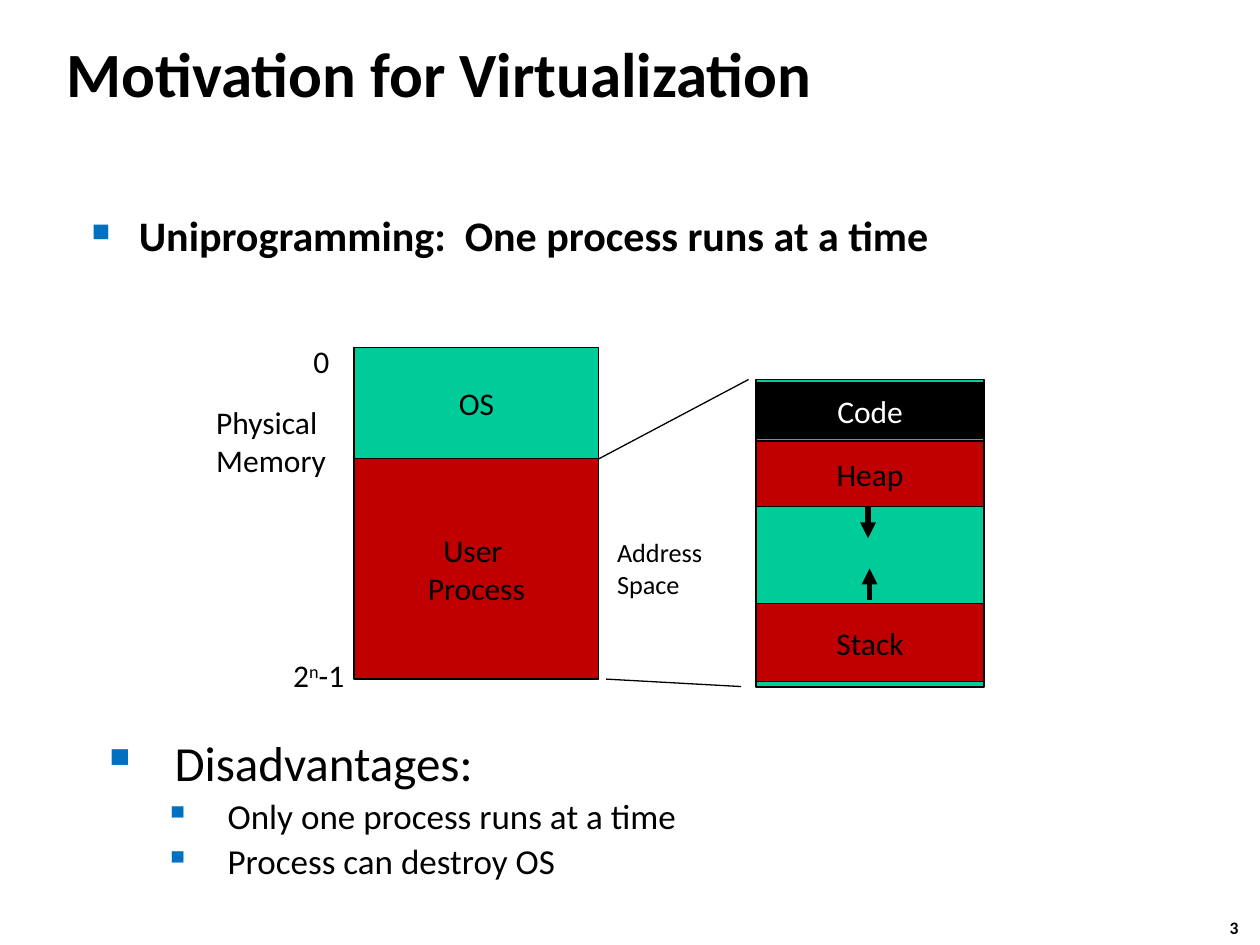
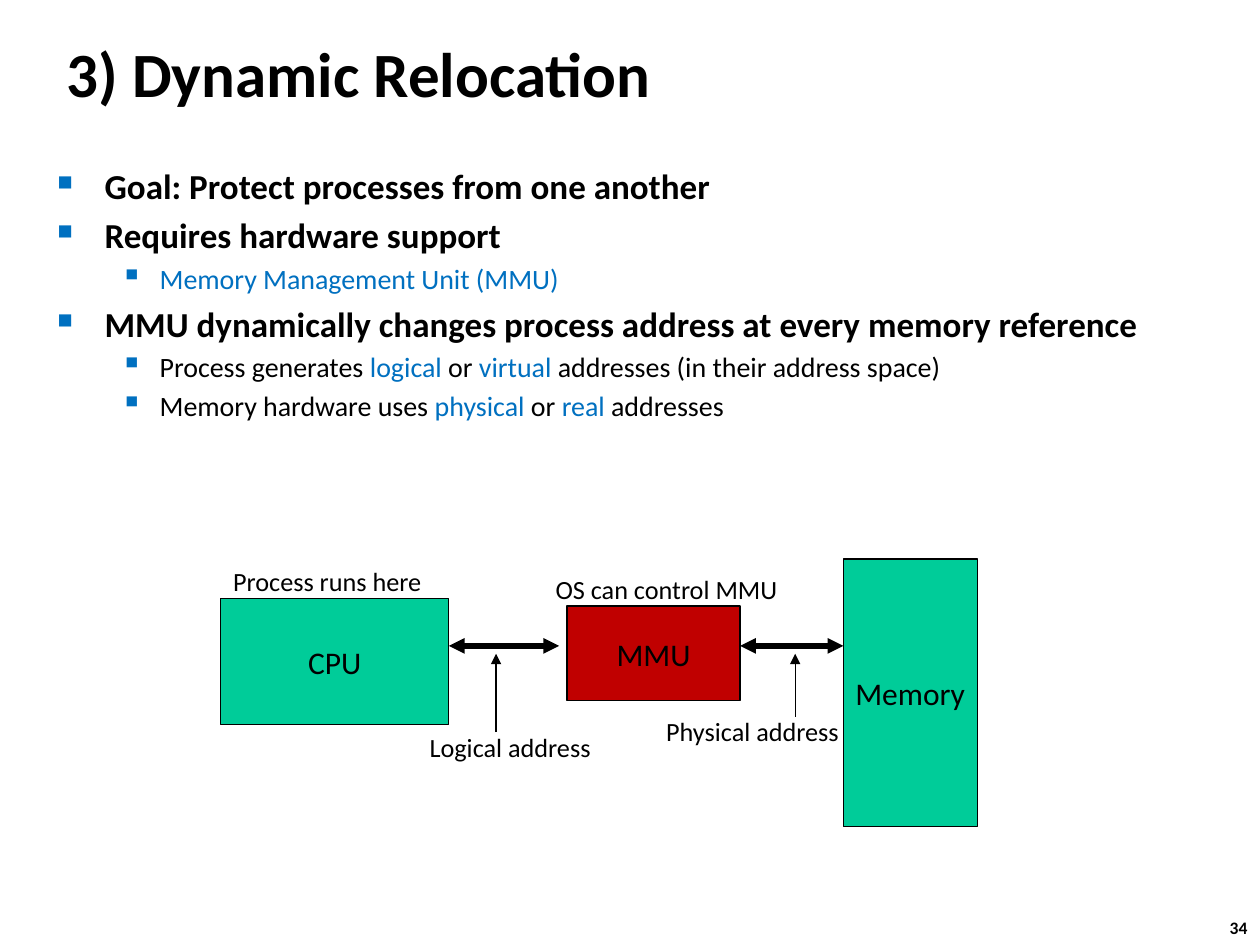
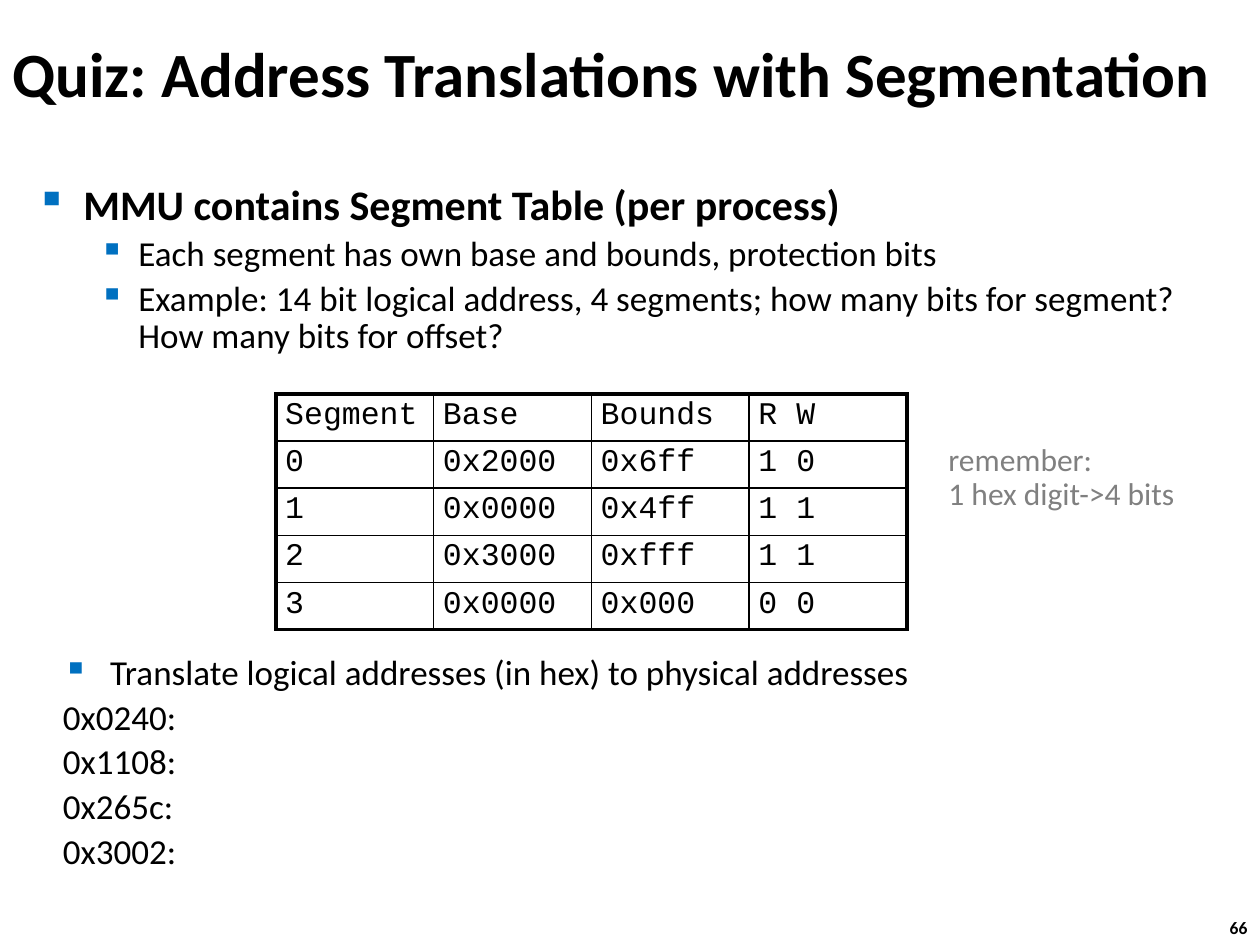
from lxml.etree import SubElement
from pptx import Presentation
from pptx.dml.color import RGBColor as RGB
from pptx.enum.shapes import MSO_CONNECTOR as CONN, MSO_SHAPE as SHAPE
from pptx.enum.text import MSO_ANCHOR as ANCHOR, PP_ALIGN as ALIGN
from pptx.oxml.ns import qn
from pptx.util import Cm, Pt

COLORS = {
    "ink": "000000",
    "paper": "FFFFFF",
    "accent": "0070C0",
    "free": "00CC99",
    "used": "C00000",
    "hint": "808080",
}
BASE = {"name": "Calibri", "size": 18, "bold": False, "color": "ink"}
ACCENT = {"color": "accent"}
SUPER = {"baseline": 30000}

TOP = {"left": 0.95, "hang": 0.95}
SUB = {"left": 2.06, "hang": 0.79, "font": {"size": 20}, "bullet": "▪"}
HEADLINE = {**TOP, "font": {"size": 24, "bold": True}, "bullet": "■", "scale": 60}
GOAL = {**HEADLINE, "font": {"size": 20, "bold": True}}
DETAIL = {**SUB, "font": {"size": 16}, "scale": 110}
SEGMENT_HEAD = {**HEADLINE, "bullet": "▪", "scale": 100}
DRAWBACK_HEAD = {"left": 1.47, "hang": 1.47, "font": {"size": 28}, "bullet": "▪"}
DRAWBACK = {**SUB, "left": 2.54, "hang": 1.27}
TASK = {**TOP, "font": {"size": 20}, "bullet": "▪"}
ADDRESS = {**TOP, "font": {"size": 20}}


def rgb(name):
    return RGB.from_string(COLORS[name])


def cms(values):
    return [Cm(v) for v in values]


def set_font(r, fmt):
    fmt = {**BASE, **fmt}
    values = {"name": fmt["name"], "size": Pt(fmt["size"]), "bold": fmt["bold"]}
    for key, value in values.items():
        setattr(r.font, key, value)
    r.font.color.rgb = rgb(fmt["color"])
    if "baseline" in fmt:
        r._r.get_or_add_rPr().set("baseline", str(fmt["baseline"]))


def write(p, text, fmt, marked=ACCENT):
    """Text between bars takes the marked format."""
    for i, part in enumerate(text.split("|")):
        for j, line in enumerate(part.split("\n")):
            if j:
                p.add_line_break()
            if line:
                r = p.add_run()
                r.text = line
                set_font(r, {**fmt, **(marked if i % 2 else {})})


def add_text(s, box, text, fmt, wrap=False, anchor=ANCHOR.TOP, spacing=None, marked=ACCENT):
    tf = s.shapes.add_textbox(*cms(box)).text_frame
    tf.word_wrap = wrap
    tf.vertical_anchor = anchor
    p = tf.paragraphs[0]
    p.line_spacing = spacing
    write(p, text, fmt, marked)


def add_bullet(pPr, char, scale):
    color = SubElement(pPr, qn("a:buClr"))
    SubElement(color, qn("a:srgbClr"), val=COLORS["accent"])
    SubElement(pPr, qn("a:buSzPct"), val=str(scale * 1000))
    SubElement(pPr, qn("a:buChar"), char=char)


def add_list(s, box, items, spacing=0.9):
    tf = s.shapes.add_textbox(*cms(box)).text_frame
    tf.word_wrap = True
    for i, (style, text) in enumerate(items):
        p = tf.add_paragraph() if i else tf.paragraphs[0]
        pPr = p._p.get_or_add_pPr()
        pPr.set("marL", str(Cm(style["left"])))
        pPr.set("indent", str(-Cm(style["hang"])))
        if "bullet" in style:
            add_bullet(pPr, style["bullet"], style.get("scale", 100))
        p.line_spacing = spacing
        if i:
            p.space_before = Pt(0.2 * style["font"]["size"])
        write(p, text, style["font"])


def add_block(s, box, fill, text="", color="ink"):
    sp = s.shapes.add_shape(SHAPE.RECTANGLE, *cms(box))
    sp.shadow.inherit = False
    sp.fill.solid()
    sp.fill.fore_color.rgb = rgb(fill)
    sp.line.color.rgb = rgb("ink")
    sp.line.width = Pt(0.75)
    tf = sp.text_frame
    tf.word_wrap = False
    tf.vertical_anchor = ANCHOR.MIDDLE
    p = tf.paragraphs[0]
    p.alignment = ALIGN.CENTER
    write(p, text, {"color": color})


def add_line(s, ends, width=0.75, arrows=()):
    line = s.shapes.add_connector(CONN.STRAIGHT, *cms(ends))
    line.line.color.rgb = rgb("ink")
    line.line.width = Pt(width)
    ln = line.line._get_or_add_ln()
    for end in arrows:
        SubElement(ln, qn(f"a:{end}End"), type="triangle")
    SubElement(line._element.spPr, qn("a:effectLst"))


def set_borders(cell, widths):
    tcPr = cell._tc.get_or_add_tcPr()
    for side, width in widths.items():
        ln = SubElement(tcPr, qn(f"a:ln{side}"), w=str(Pt(width)))
        fill = SubElement(ln, qn("a:solidFill"))
        SubElement(fill, qn("a:srgbClr"), val=COLORS["ink"])


def add_grid(s, left, top, col_width, row_height, rows):
    n_rows, n_cols = len(rows), len(rows[0])
    box = cms((left, top, col_width * n_cols, row_height * n_rows))
    table = s.shapes.add_table(n_rows, n_cols, *box).table
    table.first_row = table.horz_banding = False
    margins = {"margin_left": 0.19, "margin_right": 0.19, "margin_top": 0.09, "margin_bottom": 0.09}
    for col in table.columns:
        col.width = Cm(col_width)
    for i, row in enumerate(rows):
        table.rows[i].height = Cm(row_height)
        for j, text in enumerate(row):
            cell = table.cell(i, j)
            for key, value in margins.items():
                setattr(cell, key, Cm(value))
            outer = {"L": j == 0, "R": j == n_cols - 1, "T": i == 0, "B": i == n_rows - 1}
            set_borders(cell, {side: 2.25 if edge else 1 for side, edge in outer.items()})
            cell.fill.background()
            write(cell.text_frame.paragraphs[0], text, {"name": "Courier New"})


def add_slide(prs, title, number, left=1.09, width=21.08):
    s = prs.slides.add_slide(prs.slide_layouts[6])
    add_text(s, (24.54, 18.36, 0.94, 0.69), number, {"size": 10, "bold": True}, wrap=True)
    add_text(s, (left, 0.41, width, 2.11), title, {"size": 36, "bold": True},
             wrap=True, anchor=ANCHOR.MIDDLE)
    return s


def build_motivation(prs):
    s = add_slide(prs, "Motivation for Virtualization", "3")
    add_list(s, (1.6, 4.22, 20.07, 1.9),
             [(HEADLINE, "Uniprogramming:  One process runs at a time")])
    for top, height, fill, text in [
        (9.25, 4.44, "used", "User \nProcess"),
        (7.01, 2.24, "free", "OS"),
    ]:
        add_block(s, (7.14, top, 4.93, height), fill, text)
    for top, height, fill, text, color in [
        (7.65, 6.2, "free", "", "ink"),
        (12.17, 1.57, "used", "Stack", "ink"),
        (7.72, 1.12, "ink", "Code", "paper"),
        (8.89, 1.32, "used", "Heap", "ink"),
    ]:
        add_block(s, (15.24, top, 4.6, height), fill, text, color)
    add_line(s, (17.5, 10.21, 17.5, 10.85), 3, ["tail"])
    add_line(s, (17.53, 11.46, 17.53, 12.09), 3, ["head"])
    add_line(s, (12.07, 9.25, 15.09, 7.65))
    add_line(s, (12.22, 13.69, 14.94, 13.84))
    add_text(s, (4.11, 8, 2.95, 1.8), "Physical Memory", {}, wrap=True)
    add_text(s, (6.07, 6.78, 0.84, 1.02), "0", {})
    add_text(s, (5.66, 13.11, 1.57, 1.02), "2|n|-1", {}, marked=SUPER)
    add_text(s, (12.19, 10.69, 2.26, 1.55), "Address\nSpace", {"size": 15})
    add_list(s, (1.8, 14.78, 17.63, 1.9), [
        (DRAWBACK_HEAD, "Disadvantages:"),
        (DRAWBACK, "Only one process runs at a time"),
        (DRAWBACK, "Process can destroy OS"),
    ])


def build_relocation(prs):
    s = add_slide(prs, "3) Dynamic Relocation", "34")
    add_list(s, (0.91, 3.2, 22.61, 7.44), [
        (GOAL, "Goal: Protect processes from one another"),
        (GOAL, "Requires hardware support"),
        (DETAIL, "|Memory Management Unit (MMU)|"),
        (GOAL, "MMU dynamically changes process address at every memory reference"),
        (DETAIL, "Process generates |logical |or |virtual| addresses (in their address space)"),
        (DETAIL, "Memory hardware uses |physical| or |real| addresses"),
    ], spacing=None)
    add_block(s, (4.45, 12.07, 4.6, 2.54), "free", "CPU")
    add_block(s, (11.43, 12.22, 3.49, 1.91), "used", "MMU")
    add_block(s, (17, 11.27, 2.7, 5.4), "free", "Memory")
    for start, end in [(9.05, 11.27), (14.92, 17)]:
        add_line(s, (start, 13.02, end, 13.02), 3, ["head", "tail"])
    for left, top, width, text in [
        (4.45, 11.27, 4.34, "Process runs here"),
        (10.95, 11.43, 5.03, "OS can control MMU"),
        (8.41, 14.61, 3.84, "Logical address"),
        (13.18, 14.29, 4.09, "Physical address"),
    ]:
        add_text(s, (left, top, width, 0.89), text, {"size": 15})
    for x, bottom in [(10, 14.76), (16.03, 14.45)]:
        add_line(s, (x, bottom, x, 13.18), arrows=["tail"])


def build_quiz(prs):
    s = add_slide(prs, "Quiz: Address Translations with Segmentation", "66", 0, 25.91)
    add_grid(s, 5.56, 7.94, 3.18, 0.95, [
        ("Segment", "Base", "Bounds", "R W"),
        ("0", "0x2000", "0x6ff", "1 0"),
        ("1", "0x0000", "0x4ff", "1 1"),
        ("2", "0x3000", "0xfff", "1 1"),
        ("3", "0x0000", "0x000", "0 0"),
    ])
    addresses = ["0x0240:", "0x1108:", "0x265c:", "0x3002:"]
    add_list(s, (1.02, 13.08, 24.1, 2.06), [
        (TASK, "Translate logical addresses (in hex) to physical addresses"),
        *[(ADDRESS, address) for address in addresses],
    ])
    add_text(s, (18.87, 8.84, 5.13, 1.65), "remember: \n1 hex digit->4 bits",
             {"color": "hint"}, spacing=0.9)
    add_list(s, (0.48, 3.58, 24.43, 3.18), [
        (SEGMENT_HEAD, "MMU contains Segment Table (per process)"),
        (SUB, "Each segment has own base and bounds, protection bits"),
        (SUB, "Example: 14 bit logical address, 4 segments; how many bits for segment? "
              "How many bits for offset?"),
    ])


def main():
    prs = Presentation()
    prs.slide_width, prs.slide_height = Cm(25.4), Cm(19.05)
    build_motivation(prs)
    build_relocation(prs)
    build_quiz(prs)
    prs.save("out.pptx")


if __name__ == "__main__":
    main()
